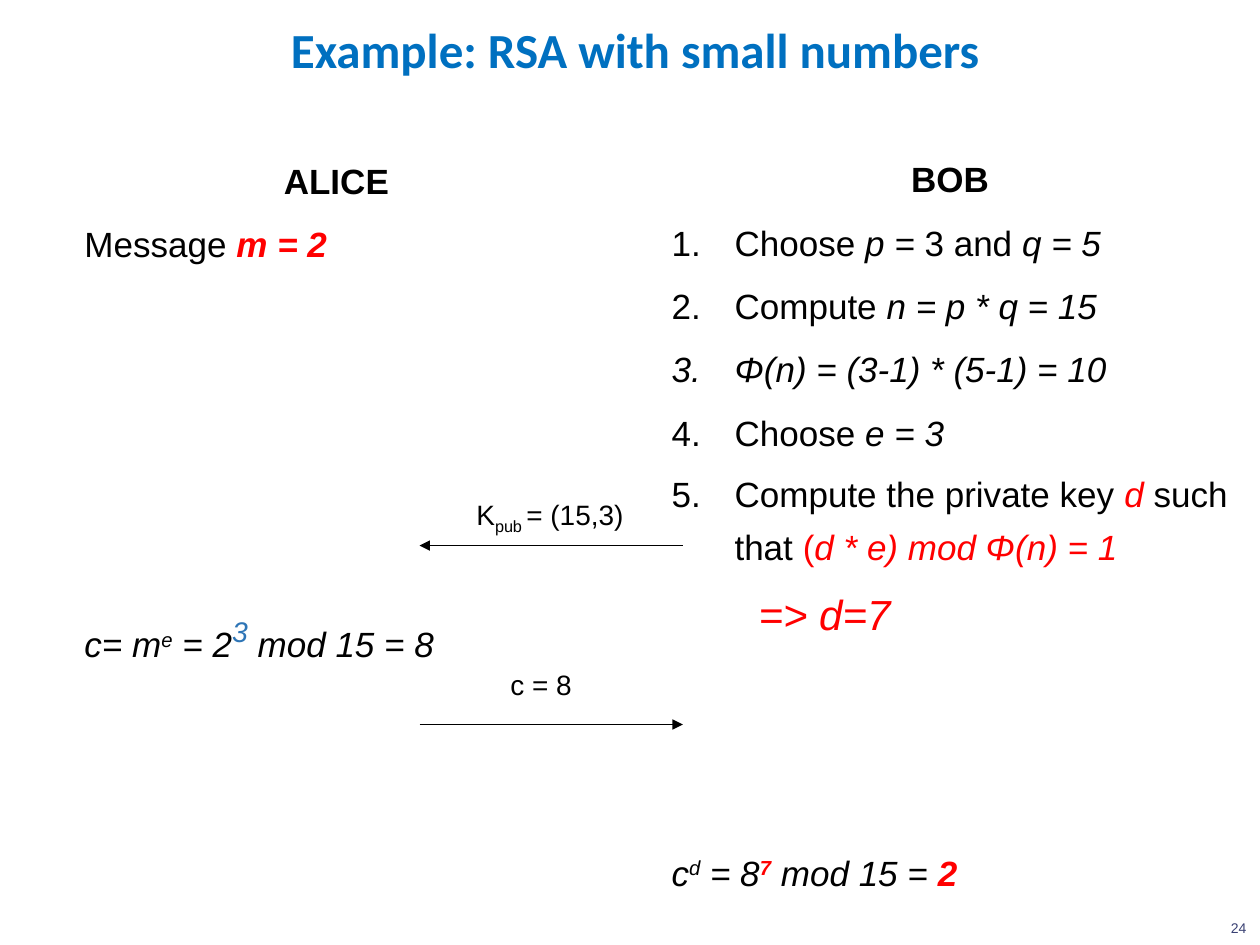
import pptx
import pptx.util
import pptx.dml.color
import pptx.enum.shapes
import pptx.enum.text
import pptx.oxml
import pptx.oxml.ns

Inches, Pt = pptx.util.Inches, pptx.util.Pt
ALIGN = pptx.enum.text.PP_ALIGN

COLORS = {"title": "0070C0", "number": "394073", "black": "000000",
          "red": "FF0000", "blue": "2E75B6"}

# A run is (text, format); a paragraph is (runs, paragraph format).
BOLD = {"bold": True}
ITALIC = {"italic": True}
RED = {"color": "red"}
RED_ITALIC = {**RED, **ITALIC}
RED_BOLD = {**RED_ITALIC, **BOLD}
SUPER = {**ITALIC, "baseline": 30}

HANGING = {"indent": 0.5, "hanging": 0.5, "line_spacing": 1.25}
HEADING = {**HANGING, "align": ALIGN.CENTER}
LINE = {**HANGING, "before": 6.2}
STEP = {**LINE, "numbered": True}
LINE_PITCH = 36.4


def after_gap(lines):
    """Format of a line that follows a gap of so many empty lines."""
    return {**HANGING, "before": 6.2 + lines * LINE_PITCH}


TITLE = [([("Example: RSA with small numbers", BOLD)], {"align": ALIGN.CENTER})]

ALICE = [
    ([("ALICE", BOLD)], HEADING),
    ([("Message ", {}), ("m = 2", RED_BOLD)], LINE),
    ([("c= m", ITALIC), ("e", SUPER), (" = 2", ITALIC),
      ("3", {**SUPER, "size": 28, "color": "blue"}),
      (" mod 15 = 8", ITALIC)], after_gap(5)),
]

BOB = [
    ([("BOB", BOLD)], HEADING),
    ([("Choose ", {}), ("p =", ITALIC), (" 3 and ", {}), ("q = 5", ITALIC)], STEP),
    ([("Compute ", {}), ("n = p * q = 15", ITALIC)], STEP),
    ([("Φ(n) = (3-1) * (5-1) = 10", ITALIC)], STEP),
    ([("Choose ", {}), ("e = 3", ITALIC)], STEP),
    ([("Compute the private key ", {}), ("d ", RED_ITALIC), ("such that ", {}),
      ("(", RED), ("d * e) mod Φ(n) = 1", RED_ITALIC)], {**STEP, "before": 5}),
    ([("=> d=7", {**RED_ITALIC, "size": 24})],
     {"indent": 0.69, "line_spacing": 1.25, "before": 5}),
    ([("c", ITALIC), ("d", SUPER), (" = 8", ITALIC),
      ("7", {**RED_BOLD, "baseline": 30}), (" mod 15 = ", ITALIC),
      ("2", RED_BOLD)], after_gap(3)),
]

PUBLIC_KEY = [([("K", {}), ("pub ", {"baseline": -25}), ("= (15,3)", {})],
               {"align": ALIGN.CENTER})]
CIPHERTEXT = [([("c = 8", {})], {"align": ALIGN.CENTER})]
SLIDE_NUMBER = [([("24", {})], {})]

ALICE_SIDE, BOB_SIDE = 3.33, 5.42
MESSAGES = [  # label, label left, label top, arrow start, arrow end, arrow height
    (PUBLIC_KEY, 3.4, 3.9, BOB_SIDE, ALICE_SIDE, 4.33),
    (CIPHERTEXT, 3.33, 5.25, ALICE_SIDE, BOB_SIDE, 5.75),
]


def rgb(name):
    return pptx.dml.color.RGBColor.from_string(COLORS[name])


def format_paragraph(paragraph, align=ALIGN.LEFT, indent=0, hanging=0,
                     line_spacing=1.0, before=0, numbered=False):
    paragraph.alignment = align
    paragraph.line_spacing = line_spacing
    paragraph.space_before = Pt(before)
    properties = paragraph._p.get_or_add_pPr()
    properties.set("marL", str(Inches(indent)))
    properties.set("indent", str(-Inches(hanging)))
    bullet = pptx.oxml.parse_xml(
        f'<a:{"buAutoNum" if numbered else "buNone"} {pptx.oxml.ns.nsdecls("a")}/>')
    if numbered:
        bullet.set("type", "arabicPeriod")
    properties.append(bullet)


def write(frame, paragraphs, size=20, font="Arial", color="black", margin=None,
          anchor=pptx.enum.text.MSO_ANCHOR.TOP, fit=False):
    """Fill a text frame; run formats override the size and colour given here."""
    frame.word_wrap = True
    frame.vertical_anchor = anchor
    modes = pptx.enum.text.MSO_AUTO_SIZE
    frame.auto_size = modes.SHAPE_TO_FIT_TEXT if fit else modes.NONE
    if margin is not None:
        frame.margin_left = frame.margin_right = Inches(margin)
        frame.margin_top = frame.margin_bottom = Inches(margin)
    for index, (runs, layout) in enumerate(paragraphs):
        paragraph = frame.add_paragraph() if index else frame.paragraphs[0]
        format_paragraph(paragraph, **layout)
        for text, style in runs:
            run = paragraph.add_run()
            run.text = text
            run.font.name = font
            run.font.size = Pt(style.get("size", size))
            run.font.bold = style.get("bold", False)
            run.font.italic = style.get("italic", False)
            run.font.color.rgb = rgb(style.get("color", color))
            if "baseline" in style:
                run.font._element.set("baseline", str(style["baseline"] * 1000))


def add_text(slide, box, paragraphs, **style):
    write(slide.shapes.add_textbox(*map(Inches, box)).text_frame, paragraphs, **style)


def add_arrow(slide, start, end, height):
    arrow = slide.shapes.add_connector(
        pptx.enum.shapes.MSO_CONNECTOR.STRAIGHT,
        Inches(start), Inches(height), Inches(end), Inches(height))
    arrow.line.color.rgb = rgb("black")
    arrow.line.width = Pt(0.75)
    namespace = pptx.oxml.ns.nsdecls("a")
    arrow.line._get_or_add_ln().append(
        pptx.oxml.parse_xml(f'<a:tailEnd {namespace} type="triangle"/>'))
    arrow._element.spPr.append(pptx.oxml.parse_xml(f"<a:effectLst {namespace}/>"))


def main():
    deck = pptx.Presentation()
    deck.slide_width, deck.slide_height = Inches(10), Inches(7.5)
    slide = deck.slides.add_slide(deck.slide_layouts[5])

    title = slide.shapes.title
    title.left, title.top = Inches(0.25), Inches(0.02)
    title.width, title.height = Inches(9.58), Inches(0.73)
    write(title.text_frame, TITLE, size=28, font="Calibri", color="title",
          anchor=pptx.enum.text.MSO_ANCHOR.MIDDLE)

    add_text(slide, (9.67, 7.25, 0.33, 0.24), SLIDE_NUMBER, size=8, color="number")
    add_text(slide, (0.67, 1.18, 4, 5.51), ALICE, margin=0)
    add_text(slide, (5.33, 1.17, 4.42, 5.51), BOB, margin=0)
    for label, left, top, start, end, height in MESSAGES:
        add_arrow(slide, start, end, height)
        add_text(slide, (left, top, 1.93, 0.37), label, size=16, fit=True)

    deck.save("out.pptx")


if __name__ == "__main__":
    main()
